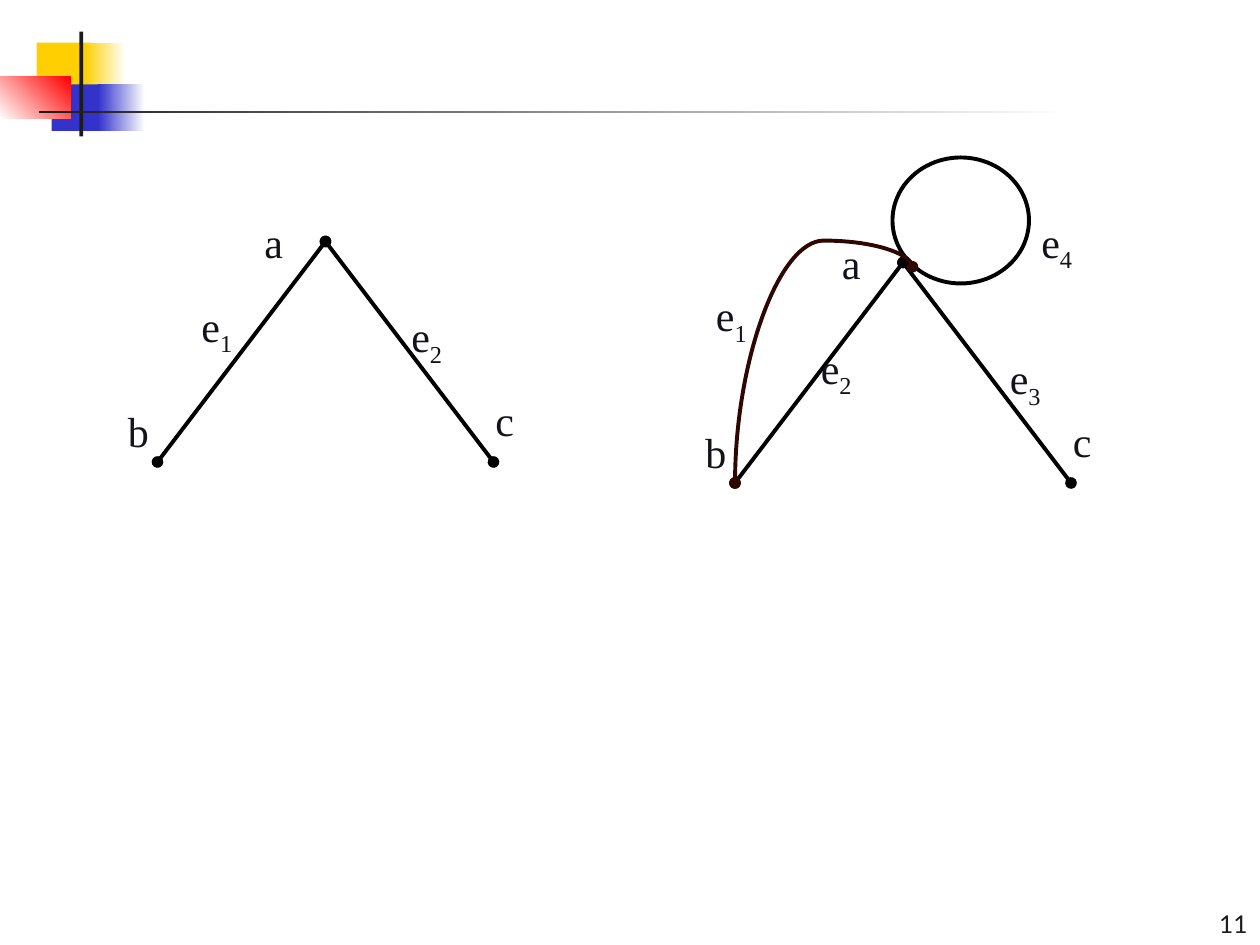
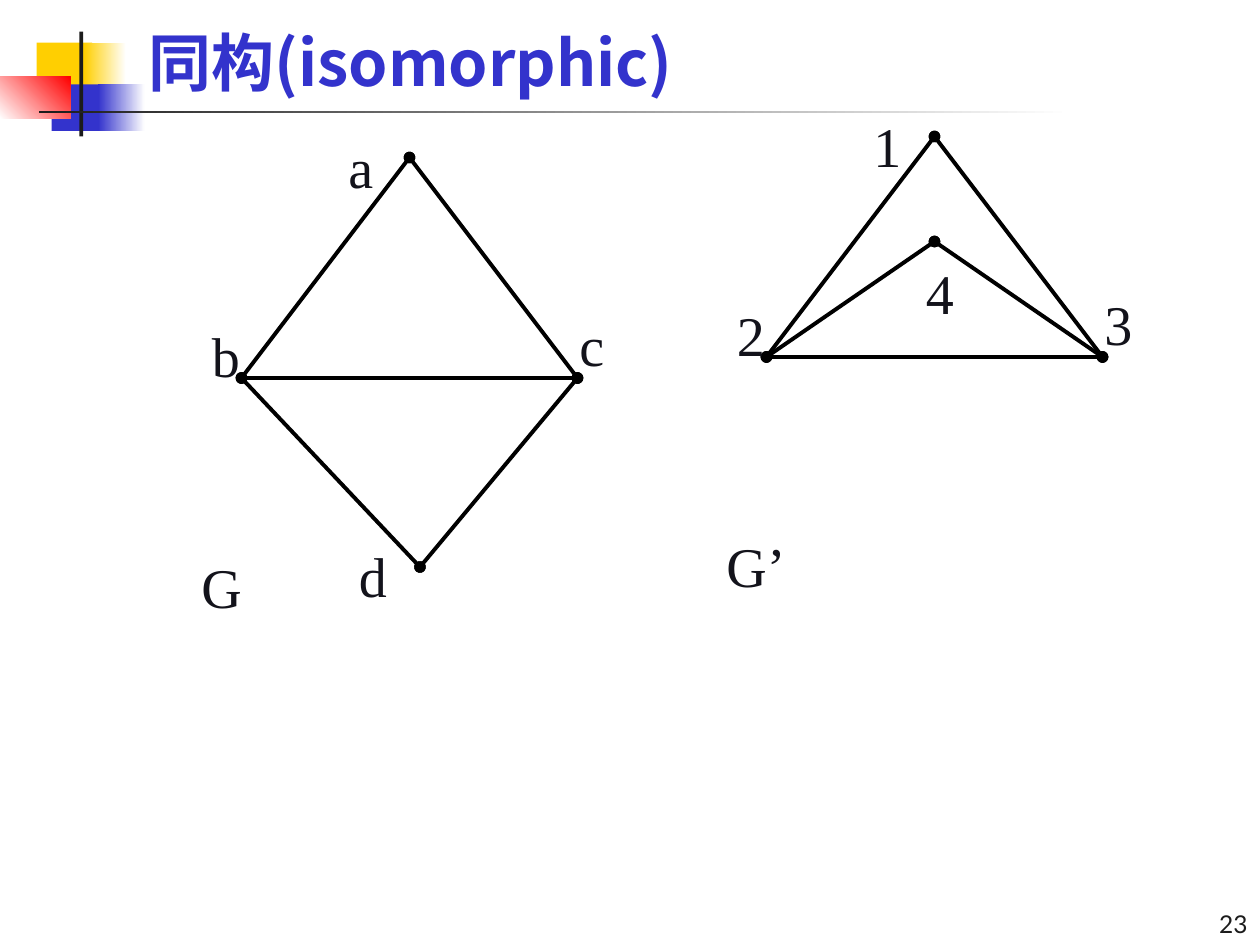
from lxml import etree
from pptx import Presentation
from pptx import util as u
from pptx.dml.color import RGBColor
from pptx.enum import shapes, text
from pptx.oxml.ns import qn

YELLOW = RGBColor(0xFF, 0xCF, 0x01)
BLUE = RGBColor(0x33, 0x33, 0xCC)
RED = RGBColor(0xFF, 0x00, 0x00)
WHITE = RGBColor(0xFF, 0xFF, 0xFF)
DARK = RGBColor(0x1C, 0x1C, 0x1C)
INK = RGBColor(0x13, 0x13, 0x1B)
BLACK = RGBColor(0x00, 0x00, 0x00)
BROWN = RGBColor(0x2D, 0x08, 0x01)

GRID = 2.54 / 12  # graphs sit on a grid of 12 steps to the inch, in cm
SERIF, SANS, CJK = "Times New Roman", "Lato", "Noto Sans CJK SC"

# Header ornament: left, top, width, height in cm, colours, gradient angle
ORNAMENT = [
    (0.74, 0.86, 1.12, 0.97, [YELLOW], 0),
    (1.70, 0.86, 0.84, 0.97, [YELLOW, WHITE], 0),
    (1.04, 1.70, 1.07, 0.94, [BLUE], 0),
    (1.98, 1.70, 0.94, 0.94, [BLUE, WHITE], 0),
    (0, 1.55, 1.42, 0.84, [WHITE, RED], 45),
    (1.60, 0.64, 0.08, 2.11, [DARK], 0),
    (0.79, 2.24, 20.80, 0.05, [DARK, WHITE], 0),
]

# Graphs in grid steps; a label is (text, left, top), "_" starts a subscript
SLIDES = [
    {"number": "11", "size": 24, "graphs": [
        {"vertices": {"a": (31, 23), "b": (15, 44), "c": (47, 44)},
         "edges": ["ac", "ba"],
         "labels": [("a", 24, 20), ("b", 11, 38), ("c", 46, 37),
                    ("e_1", 18, 28), ("e_2", 38, 29)]},
        {"vertices": {"a": (86, 25), "b": (70, 46), "c": (102, 46)},
         "edges": ["ac", "ba"],
         "loop": (85, 15, 13, 12),
         "curve": ((70, 46), (86.9, 25.4), 1.121),
         "labels": [("a", 79, 22), ("b", 66, 40), ("c", 101, 39),
                    ("e_1", 67, 27), ("e_3", 95, 33), ("e_2", 77, 32),
                    ("e_4", 98, 20)]},
    ]},
    {"number": "23", "size": 32, "title": "同构(isomorphic)", "graphs": [
        {"vertices": {"a": (39, 15), "b": (23, 36), "c": (55, 36), "d": (40, 54)},
         "edges": ["ac", "ba", "dc", "bc", "bd"],
         "labels": [("a", 32, 12), ("b", 19, 30), ("c", 54, 29),
                    ("d", 33, 51), ("G", 18, 52)]},
        {"vertices": {"1": (89, 13), "2": (73, 34), "3": (105, 34), "4": (89, 23)},
         "edges": ["13", "21", "43", "23", "24"],
         "labels": [("1", 82, 10), ("2", 69, 28), ("3", 104, 27),
                    ("4", 87, 24), ("G’", 68, 50)]},
    ]},
]
LABEL_WIDTHS = {"e": 7, "G": 7, "G’": 9}  # all other labels take 5 steps


def cm(*values):
    return [u.Cm(v) for v in values]


def steps(*values):
    return cm(*(v * GRID for v in values))


def style(target, **formats):
    for name, value in formats.items():
        setattr(target, name, value)


def add_run(p, words, color, **formats):
    r = p.add_run()
    r.text = words
    style(r.font, **formats)
    r.font.color.rgb = color
    return r


def add_ornament(s):
    for left, top, width, height, colors, angle in ORNAMENT:
        sp = s.shapes.add_shape(shapes.MSO_SHAPE.RECTANGLE, *cm(left, top, width, height))
        sp.shadow.inherit = False
        sp.line.fill.background()
        if len(colors) == 1:
            sp.fill.solid()
            sp.fill.fore_color.rgb = colors[0]
        else:
            sp.fill.gradient()
            sp.fill.gradient_angle = angle
            for stop, color in zip(sp.fill.gradient_stops, colors):
                stop.color.rgb = color


def add_number(s, number):
    tf = s.shapes.add_textbox(*cm(22.02, 17.98, 3.38, 1.07)).text_frame
    style(tf, word_wrap=True, vertical_anchor=text.MSO_ANCHOR.BOTTOM)
    p = tf.paragraphs[0]
    p.alignment = text.PP_ALIGN.RIGHT
    add_run(p, number, DARK, size=u.Pt(14), name=SANS)


def format_title(s, words):
    sp = s.shapes.title
    sp.left, sp.top, sp.width, sp.height = cm(2.74, 0.43, 21.39, 1.7)
    style(sp.text_frame, word_wrap=True, auto_size=text.MSO_AUTO_SIZE.NONE,
          vertical_anchor=text.MSO_ANCHOR.BOTTOM)
    p = sp.text_frame.paragraphs[0]
    p.alignment = text.PP_ALIGN.LEFT
    r = add_run(p, words, BLUE, size=u.Pt(36), name=CJK, bold=True)
    etree.SubElement(r._r.get_or_add_rPr(), qn("a:ea"), typeface=CJK)


def add_edge(s, start, end, kind=shapes.MSO_CONNECTOR.STRAIGHT, color=BLACK):
    c = s.shapes.add_connector(kind, *steps(*start, *end))
    c.line.color.rgb = color
    c.line.width = u.Pt(2.25)
    spPr = c._element.spPr
    for tag in ("a:headEnd", "a:tailEnd"):
        etree.SubElement(spPr.find(qn("a:ln")), qn(tag), type="oval")
    etree.SubElement(spPr, qn("a:effectLst"))
    return c


def add_curve(s, start, end, bend):
    # Turned a quarter left about its centre, so width and height swap
    (x1, y1), (x2, y2) = start, end
    mid_x, mid_y = (x1 + x2) / 2, (y1 + y2) / 2
    half_w, half_h = abs(y2 - y1) / 2, abs(x2 - x1) / 2
    c = add_edge(s, (mid_x - half_w, mid_y - half_h), (mid_x + half_w, mid_y + half_h),
                 shapes.MSO_CONNECTOR.CURVE, BROWN)
    spPr = c._element.spPr
    spPr.find(qn("a:xfrm")).set("rot", str(270 * 60000))
    geom = spPr.find(qn("a:prstGeom"))
    guides = geom.find(qn("a:avLst"))
    if guides is None:
        guides = etree.SubElement(geom, qn("a:avLst"))
    etree.SubElement(guides, qn("a:gd"), name="adj1", fmla=f"val {round(bend * 100000)}")


def add_loop(s, box):
    sp = s.shapes.add_shape(shapes.MSO_SHAPE.OVAL, *steps(*box))
    sp.shadow.inherit = False
    sp.fill.background()
    sp.line.color.rgb = BLACK
    sp.line.width = u.Pt(2.25)


def add_label(s, label, left, top, size):
    base, _, index = label.partition("_")
    box = steps(left, top, LABEL_WIDTHS.get(base, 5), size / 4)
    tf = s.shapes.add_textbox(*box).text_frame
    tf.word_wrap = True
    p = tf.paragraphs[0]
    font = {"size": u.Pt(size), "name": SERIF}
    add_run(p, base, INK, **font)
    if index:
        r = add_run(p, index, INK, **font)
        r._r.get_or_add_rPr().set("baseline", "-25000")


def add_graph(s, graph, size):
    vertices = graph["vertices"]
    for start, end in graph["edges"]:
        add_edge(s, vertices[start], vertices[end])
    if "loop" in graph:
        add_loop(s, graph["loop"])
    if "curve" in graph:
        add_curve(s, *graph["curve"])
    for label, left, top in graph["labels"]:
        add_label(s, label, left, top, size)


def main():
    prs = Presentation()
    prs.slide_width, prs.slide_height = cm(25.4, 19.05)
    for content in SLIDES:
        title = content.get("title")
        s = prs.slides.add_slide(prs.slide_layouts[5 if title else 6])
        add_ornament(s)
        add_number(s, content["number"])
        if title:
            format_title(s, title)
        for graph in content["graphs"]:
            add_graph(s, graph, content["size"])
    prs.save("out.pptx")


if __name__ == "__main__":
    main()
